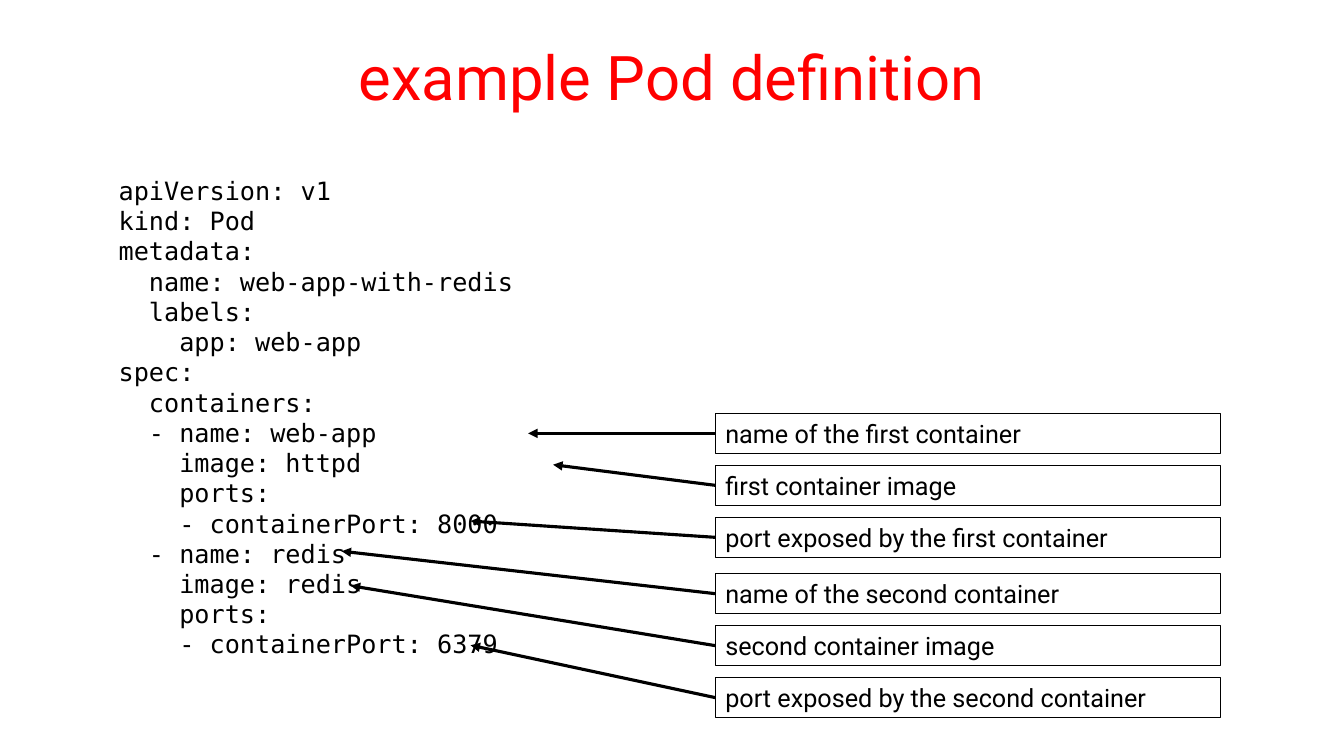
from dataclasses import dataclass

from lxml import etree
from pptx import Presentation
from pptx.dml.color import RGBColor
from pptx.enum import shapes, text
from pptx.oxml.ns import qn
from pptx.util import Cm, Pt

TITLE = "example Pod definition"

MANIFEST = """\
apiVersion: v1
kind: Pod
metadata:
  name: web-app-with-redis
  labels:
    app: web-app
spec:
  containers:
  - name: web-app
    image: httpd
    ports:
    - containerPort: 8000
  - name: redis
    image: redis
    ports:
    - containerPort: 6379"""

# Per container: top of its first note, then each note with its arrow tip (cm)
CONTAINERS = [
    (10.41, [
        ("name of the first container", (13.31, 10.92)),
        ("first container image", (13.94, 11.71)),
        ("port exposed by the first container", (11.86, 13.13)),
    ]),
    (14.45, [
        ("name of the second container", (8.61, 13.89)),
        ("second container image", (8.84, 14.76)),
        ("port exposed by the second container", (11.86, 16.26)),
    ]),
]

NOTE_LEFT, NOTE_WIDTH, NOTE_HEIGHT, NOTE_PITCH = 18.03, 12.73, 1.02, 1.31


@dataclass(frozen=True)
class Theme:
    sans: str = "Roboto"
    mono: str = "DejaVu Sans Mono"
    title_size: Pt = Pt(44)
    body_size: Pt = Pt(18)
    code_spacing: Pt = Pt(21.6)
    border: Pt = Pt(0.75)
    arrow: Pt = Pt(2.25)
    red: RGBColor = RGBColor(255, 0, 0)
    black: RGBColor = RGBColor(0, 0, 0)
    white: RGBColor = RGBColor(255, 255, 255)


THEME = Theme()


def write(shape, lines, font, size, color, align=text.PP_ALIGN.LEFT, spacing=None):
    frame = shape.text_frame
    frame.word_wrap = True
    frame.text = "\n".join(lines)
    for paragraph in frame.paragraphs:
        paragraph.alignment = align
        paragraph.line_spacing = spacing
        paragraph.font.name = font
        paragraph.font.size = size
        paragraph.font.color.rgb = color
    return frame


def add_title(slide):
    title = slide.shapes.add_textbox(Cm(1.7), Cm(0.33), Cm(30.48), Cm(3.18))
    frame = write(title, [TITLE], THEME.sans, THEME.title_size, THEME.red,
                  text.PP_ALIGN.CENTER)
    frame.vertical_anchor = text.MSO_ANCHOR.MIDDLE


def add_manifest(slide):
    manifest = slide.shapes.add_textbox(Cm(2.74), Cm(4.29), Cm(16.94), Cm(12.57))
    write(manifest, MANIFEST.splitlines(), THEME.mono, THEME.body_size,
          THEME.black, spacing=THEME.code_spacing)


def add_note(slide, label, top):
    note = slide.shapes.add_shape(
        shapes.MSO_SHAPE.RECTANGLE,
        Cm(NOTE_LEFT), Cm(top), Cm(NOTE_WIDTH), Cm(NOTE_HEIGHT))
    note.shadow.inherit = False
    note.fill.solid()
    note.fill.fore_color.rgb = THEME.white
    note.line.color.rgb = THEME.black
    note.line.width = THEME.border
    frame = write(note, [label], THEME.sans, THEME.body_size, THEME.black)
    frame.vertical_anchor = text.MSO_ANCHOR.TOP


def add_arrow(slide, start, tip):
    arrow = slide.shapes.add_connector(
        shapes.MSO_CONNECTOR.STRAIGHT, *map(Cm, start + tip))
    arrow.line.color.rgb = THEME.black
    arrow.line.width = THEME.arrow
    etree.SubElement(arrow.line._get_or_add_ln(), qn("a:tailEnd"), type="triangle")
    etree.SubElement(arrow._element.spPr, qn("a:effectLst"))


def main():
    deck = Presentation()
    deck.slide_width, deck.slide_height = Cm(33.87), Cm(19.05)
    slide = deck.slides.add_slide(deck.slide_layouts[6])
    add_title(slide)
    add_manifest(slide)
    for first_top, notes in CONTAINERS:
        for row, (label, tip) in enumerate(notes):
            top = first_top + row * NOTE_PITCH
            add_note(slide, label, top)
            add_arrow(slide, (NOTE_LEFT, top + NOTE_HEIGHT / 2), tip)
    deck.save("out.pptx")


if __name__ == "__main__":
    main()
